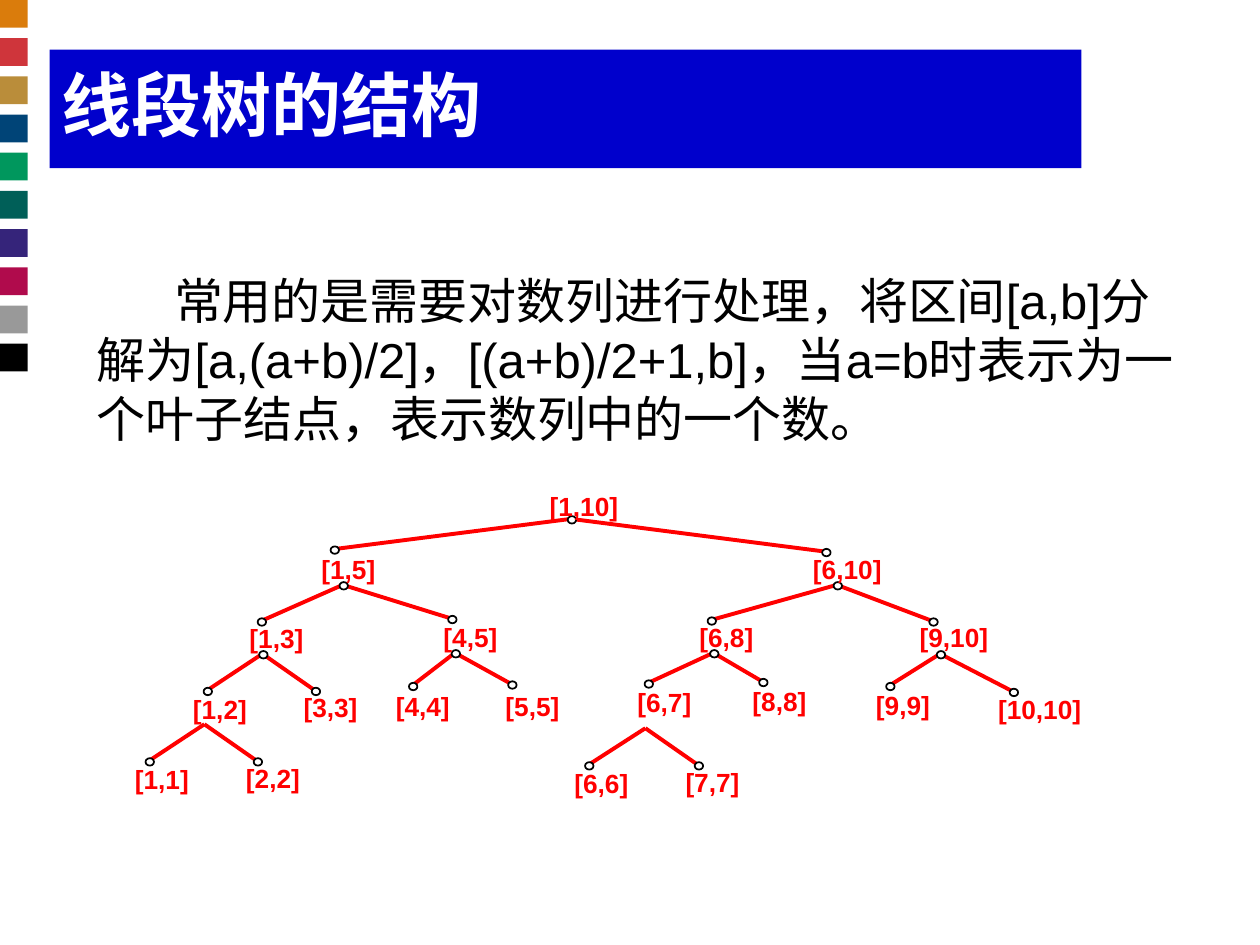
import pptx
import pptx.dml.color
import pptx.enum.shapes
import pptx.enum.text
import pptx.oxml.ns
import pptx.util
from lxml import etree

Cm = pptx.util.Cm
Pt = pptx.util.Pt
RGBColor = pptx.dml.color.RGBColor
Shape = pptx.enum.shapes.MSO_SHAPE

WHITE = RGBColor(0xFF, 0xFF, 0xFF)
BLACK = RGBColor(0x00, 0x00, 0x00)
OUTLINE = RGBColor(0x01, 0x01, 0x01)
RED = RGBColor(0xFF, 0x00, 0x00)
BLUE = RGBColor(0x00, 0x00, 0xCC)
STRIP_COLORS = [
    RGBColor(0xDA, 0x7C, 0x0C),
    RGBColor(0xCF, 0x35, 0x3B),
    RGBColor(0xBA, 0x8D, 0x3A),
    RGBColor(0x00, 0x44, 0x77),
    RGBColor(0x00, 0x97, 0x5D),
    RGBColor(0x00, 0x5F, 0x58),
    RGBColor(0x35, 0x24, 0x7A),
    RGBColor(0xB0, 0x0B, 0x4C),
    RGBColor(0x99, 0x99, 0x99),
    BLACK,
]

DOT_WIDTH, DOT_HEIGHT = 0.17, 0.15
DOT_SHIFT = 0.02
UNMARKED_FORKS = {(1, 2), (6, 7)}

LABEL_JOINT_FORK = {
    (1, 10): ((8.36, 0), None, (8.79, 0.58)),
    (1, 5): ((3.76, 1.27), (4.01, 1.19), (4.19, 1.91)),
    (6, 10): ((13.67, 1.27), (13.92, 1.24), (14.15, 1.91)),
    (1, 3): ((2.31, 2.67), (2.54, 2.64), (2.57, 3.3)),
    (4, 5): ((6.22, 2.64), (6.38, 2.59), (6.45, 3.28)),
    (6, 8): ((11.38, 2.64), (11.61, 2.62), (11.66, 3.28)),
    (9, 10): ((15.82, 2.64), (16.08, 2.64), (16.23, 3.3)),
    (1, 2): ((1.17, 4.09), (1.45, 4.04), (1.4, 4.72)),
    (3, 3): ((3.4, 4.06), (3.63, 4.04), None),
    (4, 4): ((5.26, 4.04), (5.59, 3.94), None),
    (5, 5): ((7.47, 4.04), (7.59, 3.91), None),
    (6, 7): ((10.13, 3.96), (10.34, 3.89), (10.29, 4.8)),
    (8, 8): ((12.45, 3.94), (12.65, 3.86), None),
    (9, 9): ((14.94, 4.01), (15.21, 3.94), None),
    (10, 10): ((17.4, 4.09), (17.7, 4.06), None),
    (1, 1): ((0, 5.51), (0.28, 5.46), None),
    (2, 2): ((2.24, 5.49), (2.46, 5.46), None),
    (6, 6): ((8.86, 5.59), (9.14, 5.54), None),
    (7, 7): ((11.1, 5.56), (11.35, 5.54), None),
}


def write_text(box, text, size, color, bold=False, wrap=True, inset=(0, 0), indent=0):
    frame = box.text_frame
    frame.word_wrap = wrap
    frame.vertical_anchor = pptx.enum.text.MSO_ANCHOR.TOP
    frame.margin_left = frame.margin_right = Cm(inset[0])
    frame.margin_top = frame.margin_bottom = Cm(inset[1])
    para = frame.paragraphs[0]
    para.alignment = pptx.enum.text.PP_ALIGN.LEFT
    if indent:
        para._p.get_or_add_pPr().set("indent", str(Cm(indent)))
    span = para.add_run()
    span.text = text
    span.font.name = "Arial"
    span.font.size = Pt(size)
    span.font.bold = bold
    span.font.color.rgb = color


def add_filled(shapes, kind, left, top, width, height, fill, line=None):
    shape = shapes.add_shape(kind, Cm(left), Cm(top), Cm(width), Cm(height))
    shape.shadow.inherit = False
    shape.fill.solid()
    shape.fill.fore_color.rgb = fill
    if line is None:
        shape.line.fill.background()
    else:
        shape.line.color.rgb = line
        shape.line.width = Pt(1)
    return shape


def add_strip(page, left, top, side, step):
    for index, color in enumerate(STRIP_COLORS):
        add_filled(page.shapes, Shape.RECTANGLE, left, top + index * step, side, side, color)


def add_title(page, left, top, width, height):
    banner = add_filled(page.shapes, Shape.RECTANGLE, left, top, width, height, BLUE)
    write_text(banner, "线段树的结构", size=40, color=WHITE, bold=True, inset=(0.25, 0.25))


def add_body(page, left, top, width, height):
    box = page.shapes.add_textbox(Cm(left), Cm(top), Cm(width), Cm(height))
    text = ("常用的是需要对数列进行处理，将区间[a,b]分解为[a,(a+b)/2]，[(a+b)/2+1,b]，"
            "当a=b时表示为一个叶子结点，表示数列中的一个数。")
    write_text(box, text, size=28, color=BLACK, inset=(0.25, 0.13), indent=1.56)


def add_branch(shapes, left, top, start, end):
    branch = shapes.add_connector(
        pptx.enum.shapes.MSO_CONNECTOR.STRAIGHT,
        Cm(left + start[0]), Cm(top + start[1]), Cm(left + end[0]), Cm(top + end[1]))
    branch.line.color.rgb = RED
    branch.line.width = Pt(2.25)
    etree.SubElement(branch._element.spPr, pptx.oxml.ns.qn("a:effectLst"))


def add_dot(shapes, left, top, point):
    add_filled(shapes, Shape.OVAL,
               left + point[0] + DOT_SHIFT - DOT_WIDTH / 2,
               top + point[1] + DOT_SHIFT - DOT_HEIGHT / 2,
               DOT_WIDTH, DOT_HEIGHT, WHITE, OUTLINE)


def add_label(shapes, left, top, text):
    width = 1.12 + 0.32 * (len(text) - 5)
    box = shapes.add_textbox(Cm(left), Cm(top), Cm(width), Cm(0.63))
    write_text(box, text, size=15, color=RED, bold=True, wrap=False)


def add_tree(page, left, top):
    shapes = page.shapes.add_group_shape().shapes
    for (first, last), (_, _, fork) in LABEL_JOINT_FORK.items():
        if fork:
            middle = (first + last) // 2
            for child in ((first, middle), (middle + 1, last)):
                add_branch(shapes, left, top, fork, LABEL_JOINT_FORK[child][1])
    for interval, (_, joint, fork) in LABEL_JOINT_FORK.items():
        if joint:
            add_dot(shapes, left, top, joint)
        if fork and interval not in UNMARKED_FORKS:
            add_dot(shapes, left, top, fork)
    for (first, last), (corner, _, _) in LABEL_JOINT_FORK.items():
        add_label(shapes, left + corner[0], top + corner[1], f"[{first},{last}]")


def main():
    deck = pptx.Presentation()
    deck.slide_width = Cm(25.4)
    deck.slide_height = Cm(19.05)
    page = deck.slides.add_slide(deck.slide_layouts[6])
    add_strip(page, left=0, top=0, side=0.56, step=0.77)
    add_title(page, left=1, top=1, width=20.8, height=2.39)
    add_body(page, left=1.7, top=5.33, width=22.43, height=3.81)
    add_tree(page, left=2.72, top=9.88)
    deck.save("out.pptx")


if __name__ == "__main__":
    main()
